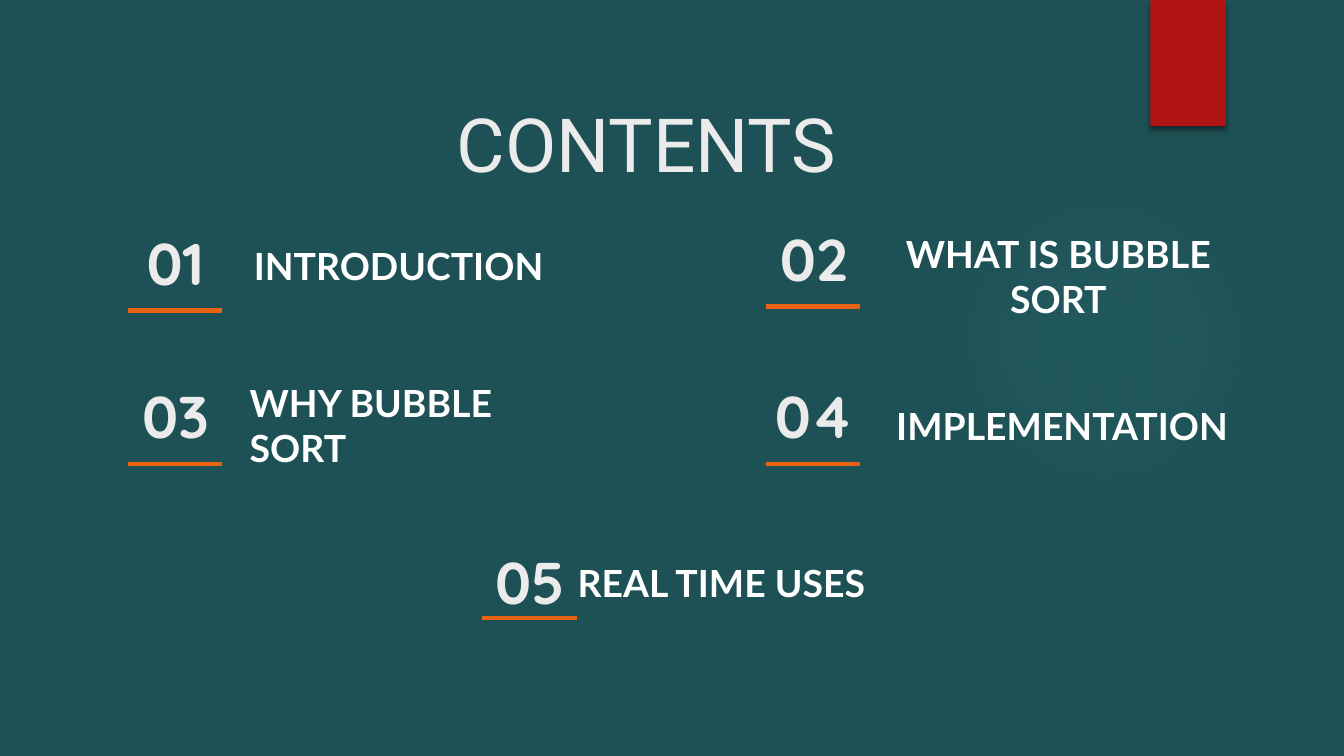
from lxml import etree
from pptx import Presentation
from pptx.dml.color import RGBColor
from pptx.enum.shapes import MSO_CONNECTOR as LINE, MSO_SHAPE as SHAPE
from pptx.enum.text import MSO_ANCHOR as ANCHOR, PP_ALIGN as ALIGN
from pptx.oxml import parse_xml
from pptx.oxml.ns import nsdecls, qn
from pptx.util import Inches, Pt

TEAL, RED, ORANGE = "1E5155", "B01513", "EA6312"
PALE, WHITE, GLOW = "EBEBEB", "FFFFFF", "50B9C1"

# number, label, number box (left, top), label box (left, top, height),
# label alignment, drop from the number's top to its rule
ITEMS = [
    ("01", "INTRODUCTION", (0.79, 1.67), (1.79, 1.79, 0.37), ALIGN.LEFT, 0.64),
    ("02", "WHAT IS BUBBLE SORT", (5.54, 1.64), (6.54, 1.87, 0.37),
     ALIGN.CENTER, 0.64),
    ("03", "WHY BUBBLE SORT", (0.79, 2.81), (1.76, 2.85, 0.62),
     ALIGN.LEFT, 0.64),
    ("04", "IMPLEMENTATION", (5.54, 2.81), (6.57, 2.98, 0.37),
     ALIGN.LEFT, 0.64),
    ("05", "REAL TIME USES", (3.43, 4.04), (4.2, 4.15, 0.37),
     ALIGN.LEFT, 0.56),
]


def color(code):
    return RGBColor.from_string(code)


def add_shape(slide, kind, box):
    shape = slide.shapes.add_shape(kind, *map(Inches, box))
    shape.shadow.inherit = False
    shape.line.fill.background()
    return shape


def add_glow(slide, box):
    """Soft round light that fades out towards its edge."""
    shape = add_shape(slide, SHAPE.OVAL, box)
    stops = "".join(
        f'<a:gs pos="{pos * 1000}"><a:srgbClr val="{GLOW}">'
        f'<a:alpha val="{alpha * 1000}"/></a:srgbClr></a:gs>'
        for pos, alpha in ((0, 7), (36, 6), (69, 0), (100, 0)))
    fill = parse_xml(
        f'<a:gradFill {nsdecls("a")}><a:gsLst>{stops}</a:gsLst>'
        '<a:path path="circle"><a:fillToRect l="50000" t="50000" '
        'r="50000" b="50000"/></a:path></a:gradFill>')
    shape._element.spPr.find(qn("a:prstGeom")).addnext(fill)


def add_ribbon(slide, box):
    shape = add_shape(slide, SHAPE.RECTANGLE, box)
    shape.fill.solid()
    shape.fill.fore_color.rgb = color(RED)
    shape._element.spPr.find(qn("a:effectLst")).append(parse_xml(
        f'<a:outerShdw {nsdecls("a")} blurRad="{Pt(3)}" dist="{Pt(2)}" '
        'dir="5400000" rotWithShape="0"><a:srgbClr val="000000">'
        '<a:alpha val="45000"/></a:srgbClr></a:outerShdw>'))


def add_text(slide, box, text, font, size, code, bold=True, align=ALIGN.LEFT):
    frame = slide.shapes.add_textbox(*map(Inches, box)).text_frame
    frame.word_wrap = True
    frame.vertical_anchor = ANCHOR.MIDDLE
    frame.margin_left = frame.margin_right = Inches(0.1)
    frame.margin_top = frame.margin_bottom = Inches(0.1)
    frame.text = text
    para = frame.paragraphs[0]
    para.alignment = align
    style = para.runs[0].font
    style.name, style.size, style.bold = font, Pt(size), bold
    style.color.rgb = color(code)


def add_rule(slide, left, top, width):
    rule = slide.shapes.add_connector(
        LINE.STRAIGHT, *map(Inches, (left, top, left + width, top)))
    rule.line.color.rgb = color(ORANGE)
    rule.line.width = Pt(2.25)
    etree.SubElement(rule._element.spPr, qn("a:effectLst"))


def add_item(slide, number, label, spot, place, align, drop):
    left, top = spot
    x, y, height = place
    add_text(slide, (left, top, 1.03, 0.56), number, "Quicksand", 31.5, PALE,
             align=ALIGN.CENTER)
    add_text(slide, (x, y, 2.67, height), label, "Lato", 20, WHITE,
             align=align)
    add_rule(slide, left + 0.16, top + drop, 0.7)


def main():
    deck = Presentation()
    deck.slide_width = Inches(10)
    deck.slide_height = Inches(10 * 9 / 16)
    slide = deck.slides.add_slide(deck.slide_layouts[6])
    slide.background.fill.solid()
    slide.background.fill.fore_color.rgb = color(TEAL)
    add_glow(slide, (7.06, 1.38, 2.31, 2.31))
    add_ribbon(slide, (8.56, 0, 0.56, 0.94))
    add_text(slide, (3.3, 0.81, 4.6, 0.5), "CONTENTS", "Roboto", 40, PALE,
             bold=False)
    for item in ITEMS:
        add_item(slide, *item)
    deck.save("out.pptx")


if __name__ == "__main__":
    main()
